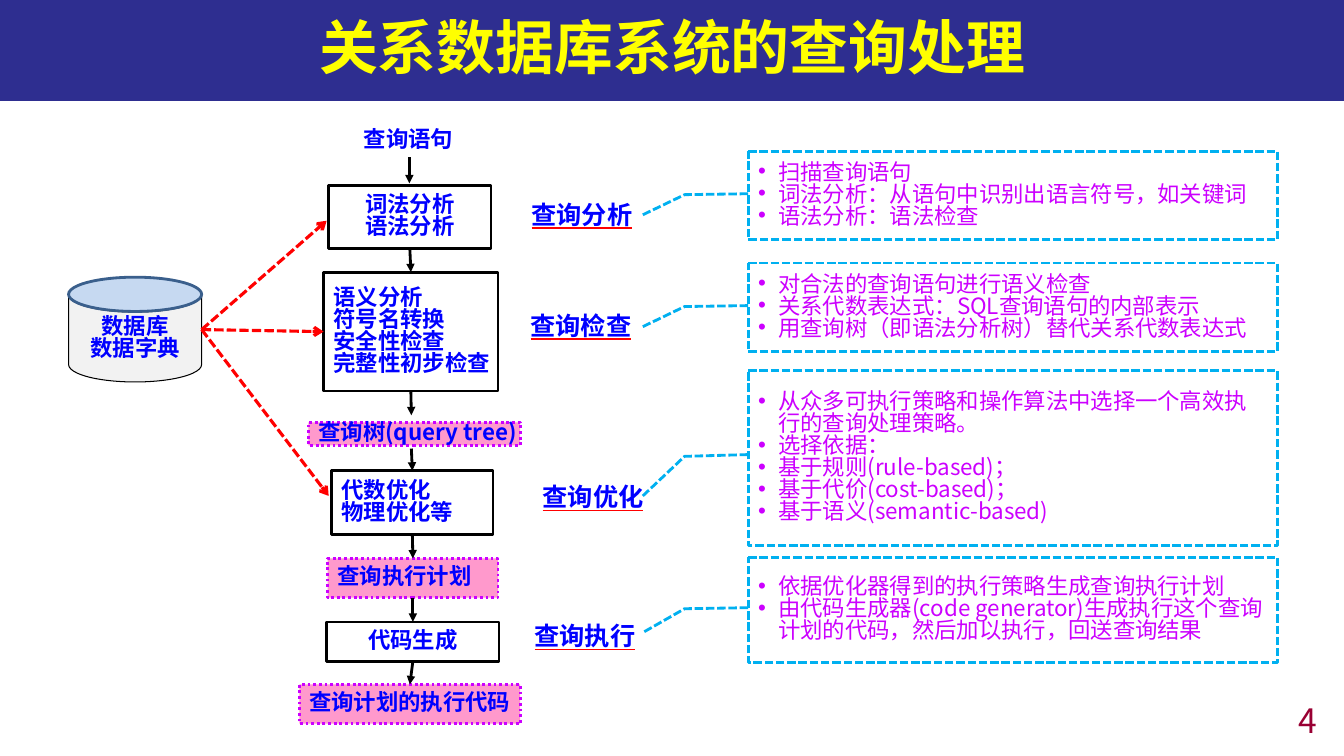
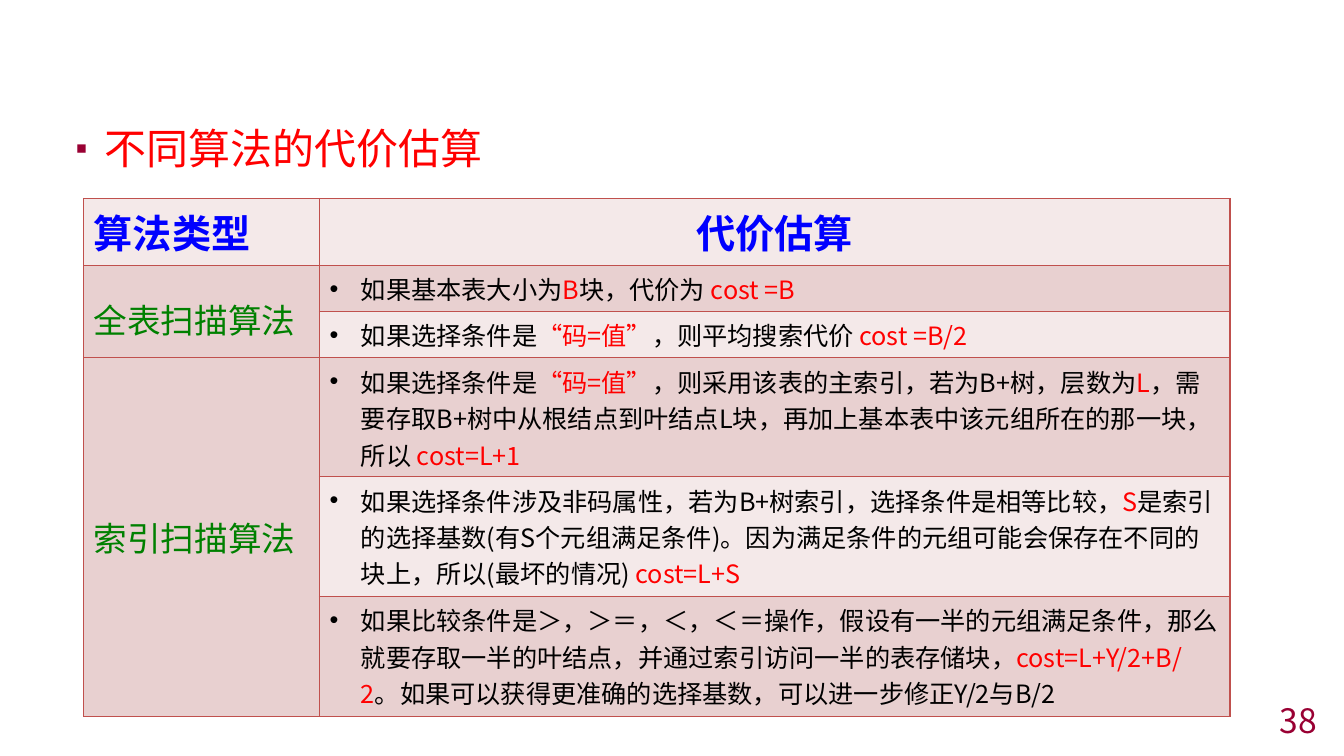
"""Builds two slides on query processing and cost estimation in relational databases."""
import lxml.etree
import pptx
import pptx.dml.color
import pptx.enum.dml
import pptx.enum.shapes
import pptx.enum.text
import pptx.oxml.ns
import pptx.util

PX = 9144
FONT = "Noto Sans CJK SC"
COLORS = {
    "band": "000078", "title": "FFFF00", "number": "990033", "blue": "0000FF",
    "black": "000000", "red": "FF0000", "green": "008000", "violet": "CC00FF",
    "pink": "FF99CC", "cyan": "00B0F0", "disk": "F2F2F2", "lid": "C6D9F1",
    "rim": "3A5F8C", "border": "C0504D", "light": "F4E9E9", "dark": "E8D0D0",
}
TIGHT = 0.82
SHAPE = pptx.enum.shapes.MSO_SHAPE
DASH = pptx.enum.dml.MSO_LINE
ANCHOR = pptx.enum.text.MSO_ANCHOR
LEFT = pptx.enum.text.PP_ALIGN.LEFT
CENTER = pptx.enum.text.PP_ALIGN.CENTER
RIGHT = pptx.enum.text.PP_ALIGN.RIGHT

QUERY_STEPS = {
    "lexical": ((326, 184, 161, 63), ["词法分析", "语法分析"], CENTER, False),
    "semantic": ((321, 270, 173, 118),
                 ["语义分析", "符号名转换", "安全性检查", "完整性初步检查"], LEFT, False),
    "tree": ((306, 419, 210, 23), ["查询树(query tree)"], LEFT, True),
    "optimize": ((329, 467, 160, 63), ["代数优化", "物理优化等"], LEFT, False),
    "plan": ((325, 554, 169, 39), ["查询执行计划"], LEFT, True),
    "codegen": ((324, 617, 171, 39), ["代码生成"], CENTER, False),
    "code": ((297, 679, 219, 39), ["查询计划的执行代码"], CENTER, True),
}
FLOW_ARROWS = [
    ((406, 156, 406, 182), None, None),
    ((406, 247, 407, 270), "lexical", "semantic"),
    ((408, 388, 408, 412), "semantic", None),
    ((408, 445, 408, 467), None, "optimize"),
    ((408, 530, 408, 554), "optimize", "plan"),
    ((408, 593, 408, 617), "plan", "codegen"),
    ((408, 656, 408, 679), "codegen", "code"),
]
DICTIONARY_ARROWS = [
    ((200, 327, 321, 329), "semantic"),
    ((200, 327, 326, 492), None),
    ((200, 327, 324, 219), None),
]
STAGES = [
    ("查询分析", (487, 198, 150, 40), (150, 88),
     ["扫描查询语句", "词法分析：从语句中识别出语言符号，如关键词", "语法分析：语法检查"]),
    ("查询检查", (511, 308, 125, 40), (261, 88),
     ["对合法的查询语句进行语义检查", "关系代数表达式：SQL查询语句的内部表示",
      "用查询树（即语法分析树）替代关系代数表达式"]),
    ("查询优化", (520, 478, 128, 40), (368, 173),
     ["从众多可执行策略和操作算法中选择一个高效执行的查询处理策略。", "选择依据：",
      "基于规则(rule-based)；", "基于代价(cost-based)；", "基于语义(semantic-based)"]),
    ("查询执行", (518, 616, 122, 40), (553, 104),
     ["依据优化器得到的执行策略生成查询执行计划",
      "由代码生成器(code generator)生成执行这个查询计划的代码，然后加以执行，回送查询结果"]),
]
COSTS = [
    "如果基本表大小为|B|块，代价为 |cost =B",
    "如果选择条件是|“码=值”|，则平均搜索代价 |cost =B/2",
    "如果选择条件是|“码=值”|，则采用该表的主索引，若为B+树，层数为|L|，需要存取B+树中"
    "从根结点到叶结点L块，再加上基本表中该元组所在的那一块，所以 |cost=L+1",
    "如果选择条件涉及非码属性，若为B+树索引，选择条件是相等比较，|S|是索引的选择基数"
    "(有S个元组满足条件)。因为满足条件的元组可能会保存在不同的块上，所以(最坏的情况) |cost=L+S",
    "如果比较条件是＞，＞＝，＜，＜＝操作，假设有一半的元组满足条件，那么就要存取一半的叶结点，"
    "并通过索引访问一半的表存储块，|cost=L+Y/2+B/2|。如果可以获得更准确的选择基数，"
    "可以进一步修正Y/2与B/2",
]


def px(*lengths):
    """Turn pixel lengths into EMU."""
    return [pptx.util.Emu(n * PX) for n in lengths]


def rgb(name):
    """Look up a named colour."""
    return pptx.dml.color.RGBColor.from_string(COLORS[name])


def sub(parent, tag, **attrs):
    """Append a DrawingML child element."""
    return lxml.etree.SubElement(parent, pptx.oxml.ns.qn(tag), **attrs)


def place(s, box):
    """Move and size a shape to a pixel box."""
    s.left, s.top, s.width, s.height = px(*box)


def style_run(r, size, color, bold=False):
    """Give a run its font, for Latin and East Asian text alike."""
    r.font.size = pptx.util.Pt(size)
    r.font.bold = bold
    r.font.color.rgb = rgb(color)
    r.font.name = FONT
    latin = r.font._element.find(pptx.oxml.ns.qn("a:latin"))
    latin.addnext(latin.makeelement(pptx.oxml.ns.qn("a:ea"), typeface=FONT))


def underline(r, color):
    """Underline a run in a colour of its own."""
    r.font.underline = True
    latin = r.font._element.find(pptx.oxml.ns.qn("a:latin"))
    fill = latin.makeelement(pptx.oxml.ns.qn("a:uFill"))
    sub(sub(fill, "a:solidFill"), "a:srgbClr", val=COLORS[color])
    latin.addprevious(fill)


def add_bullet(p, char, indent, color=None, percent=None):
    """Give a paragraph a bullet with a hanging indent."""
    pPr = p._p.get_or_add_pPr()
    pPr.set("marL", str(indent * PX))
    pPr.set("indent", str(-indent * PX))
    if color:
        sub(sub(pPr, "a:buClr"), "a:srgbClr", val=COLORS[color])
    if percent:
        sub(pPr, "a:buSzPct", val=str(percent * 1000))
    sub(pPr, "a:buFont", typeface="Arial")
    sub(pPr, "a:buChar", char=char)


def write(tf, lines, size, color, bold=False, align=LEFT, spacing=1.0, bullet=None):
    """Fill a text frame; parts between bars are red."""
    for i, line in enumerate(lines):
        p = tf.paragraphs[0] if i == 0 else tf.add_paragraph()
        if bullet:
            add_bullet(p, *bullet)
        p.alignment = align
        p.line_spacing = spacing
        p.space_before = pptx.util.Pt(0)
        for j, part in enumerate(line.split("|")):
            r = p.add_run()
            r.text = part
            style_run(r, size, "red" if j % 2 else color, bold)


def add_text(slide, box, text, size, color, **options):
    """Add a one-line text box."""
    tf = slide.shapes.add_textbox(*px(*box)).text_frame
    tf.word_wrap = True
    write(tf, [text], size, color, **options)
    return tf


def add_shape(slide, kind, box, fill, line, width=2, dash=None):
    """Add a flat preset shape."""
    s = slide.shapes.add_shape(kind, *px(*box))
    s.shadow.inherit = False
    if fill:
        s.fill.solid()
        s.fill.fore_color.rgb = rgb(fill)
    else:
        s.fill.background()
    s.line.color.rgb = rgb(line)
    s.line.width = pptx.util.Pt(width)
    if dash:
        s.line.dash_style = dash
    return s


def add_step(slide, box, lines, align, is_result):
    """Add a box of the flow: an outlined step or a pink result."""
    look = ("pink", "violet", 2, DASH.ROUND_DOT) if is_result else (None, "black")
    s = add_shape(slide, SHAPE.RECTANGLE, box, *look)
    s.text_frame.word_wrap = False
    write(s.text_frame, lines, 16, "blue", True, align, TIGHT)
    for p in s.text_frame.paragraphs:
        pPr = p._p.get_or_add_pPr()
        pPr.set("marL", str(38 * PX))
        pPr.set("indent", str(-38 * PX))
    return s


def add_arrow(slide, ends, color, width, head, dash=None, begin=None, end=None):
    """Add an arrow; begin and end are (shape, site) pairs to join."""
    c = slide.shapes.add_connector(pptx.enum.shapes.MSO_CONNECTOR.STRAIGHT, *px(*ends))
    if begin:
        c.begin_connect(*begin)
    if end:
        c.end_connect(*end)
    c.line.color.rgb = rgb(color)
    c.line.width = pptx.util.Pt(width)
    if dash:
        c.line.dash_style = dash
    sub(c.line._get_or_add_ln(), "a:tailEnd", type=head)
    sub(c._element.spPr, "a:effectLst")


def add_title(slide, text):
    """Turn the title placeholder into the band across the top."""
    s = slide.shapes.title
    place(s, (0, 0, 1333, 100))
    s.fill.solid()
    s.fill.fore_color.rgb = rgb("band")
    clr = s._element.spPr.find(".//" + pptx.oxml.ns.qn("a:srgbClr"))
    sub(clr, "a:alpha", val="82000")
    tf = s.text_frame
    tf.auto_size = pptx.enum.text.MSO_AUTO_SIZE.NONE
    tf.vertical_anchor = ANCHOR.MIDDLE
    write(tf, [text], 42, "title", True, CENTER, 0.9)


def add_number(slide, number):
    """Add the page number at the lower right."""
    tf = add_text(slide, (1033, 699, 283, 31), str(number), 24, "number", align=RIGHT)
    tf.vertical_anchor = ANCHOR.MIDDLE


def add_stage(slide, label, label_box, span, notes):
    """Add a stage name and the callout that explains it."""
    tf = add_text(slide, label_box, label, 18, "blue", bold=True, align=RIGHT, spacing=TIGHT)
    underline(tf.paragraphs[0].runs[0], "red")
    top, height = span
    s = add_shape(slide, SHAPE.LINE_CALLOUT_2, (742, top, 525, height),
                  None, "cyan", 2, DASH.SQUARE_DOT)
    for i, value in enumerate((0.48, 0, 0.49, -0.12, 0.72, -0.2)):
        s.adjustments[i] = value
    write(s.text_frame, notes, 16, "violet", spacing=TIGHT, bullet=("•", 20))


def add_disk(slide):
    """Add the database cylinder with its coloured lid."""
    s = add_shape(slide, SHAPE.FLOWCHART_MAGNETIC_DISK, (68, 275, 132, 104),
                  "disk", "black", 0.75)
    s.text_frame.vertical_anchor = ANCHOR.TOP
    write(s.text_frame, ["数据库", "数据字典"], 16, "blue", True, CENTER, TIGHT)
    add_shape(slide, SHAPE.OVAL, (68, 275, 132, 34), "lid", "rim")


def format_cell(cell, fill):
    """Give a table cell its borders and fill."""
    tcPr = cell._tc.get_or_add_tcPr()
    for side in ("a:lnL", "a:lnR", "a:lnT", "a:lnB"):
        ln = sub(tcPr, side, w="12700")
        sub(sub(ln, "a:solidFill"), "a:srgbClr", val=COLORS["border"])
    cell.fill.solid()
    cell.fill.fore_color.rgb = rgb(fill)


def add_cost_table(slide):
    """Add the table of algorithms and their costs."""
    heights = (66, 46, 46, 118, 119, 119)
    table = slide.shapes.add_table(6, 2, *px(83, 197, 1137, sum(heights))).table
    for column, width in zip(table.columns, px(234, 903)):
        column.width = width
    for i, height in enumerate(px(*heights)):
        table.rows[i].height = height
        format_cell(table.cell(i, 0), "dark" if i else "light")
        format_cell(table.cell(i, 1), "dark" if i % 2 else "light")
    table.cell(1, 0).merge(table.cell(2, 0))
    table.cell(3, 0).merge(table.cell(5, 0))
    table.cell(3, 0).vertical_anchor = ANCHOR.MIDDLE
    write(table.cell(0, 0).text_frame, ["算法类型"], 28, "blue", True)
    write(table.cell(0, 1).text_frame, ["代价估算"], 28, "blue", True, CENTER)
    write(table.cell(1, 0).text_frame, ["全表扫描算法"], 24, "green", spacing=1.5)
    write(table.cell(3, 0).text_frame, ["索引扫描算法"], 24, "green")
    for i, cost in enumerate(COSTS, 1):
        write(table.cell(i, 1).text_frame, [cost], 18, "black", bullet=("•", 31))


def build_processing(prs):
    """Build the slide on the steps of query processing."""
    slide = prs.slides.add_slide(prs.slide_layouts[5])
    add_title(slide, "关系数据库系统的查询处理")
    add_number(slide, 4)
    tf = add_text(slide, (351, 124, 111, 37), "查询语句", 16, "blue", bold=True, spacing=TIGHT)
    tf.word_wrap = False
    steps = {name: add_step(slide, *step) for name, step in QUERY_STEPS.items()}
    for ends, begin, end in FLOW_ARROWS:
        add_arrow(slide, ends, "black", 2, "triangle",
                  begin=begin and (steps[begin], 2), end=end and (steps[end], 0))
    add_disk(slide)
    for ends, end in DICTIONARY_ARROWS:
        add_arrow(slide, ends, "red", 2.25, "arrow", DASH.SQUARE_DOT,
                  end=end and (steps[end], 1))
    for stage in STAGES:
        add_stage(slide, *stage)


def build_costs(prs):
    """Build the slide on cost estimation."""
    slide = prs.slides.add_slide(prs.slide_layouts[1])
    title = slide.shapes.title._element
    title.getparent().remove(title)
    body = slide.placeholders[1]
    place(body, (65, 117, 1204, 598))
    body.text_frame.auto_size = pptx.enum.text.MSO_AUTO_SIZE.NONE
    write(body.text_frame, ["不同算法的代价估算"], 30, "red", bullet=("▪", 29, "number", 80))
    add_number(slide, 38)
    add_cost_table(slide)


def main():
    """Build and save the presentation."""
    prs = pptx.Presentation()
    prs.slide_width, prs.slide_height = px(1333, 750)
    build_processing(prs)
    build_costs(prs)
    prs.save("out.pptx")


if __name__ == "__main__":
    main()
